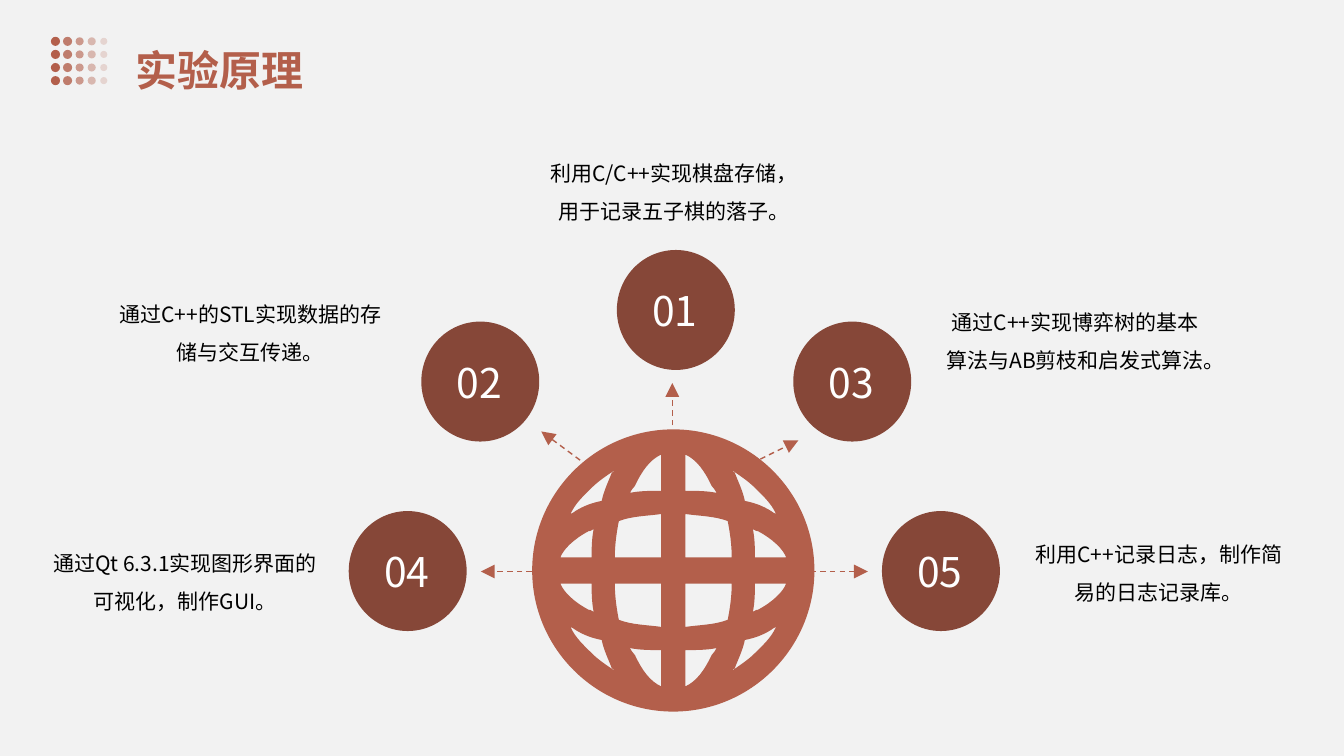
from dataclasses import dataclass

from lxml.etree import SubElement
from pptx import Presentation
from pptx.dml.color import RGBColor
from pptx.enum.dml import MSO_LINE
from pptx.enum.shapes import MSO_CONNECTOR, MSO_SHAPE
from pptx.enum.text import MSO_ANCHOR, MSO_AUTO_SIZE, PP_ALIGN
from pptx.oxml.ns import qn
from pptx.util import Inches, Pt


@dataclass(frozen=True)
class Theme:
    font: str = "Noto Sans CJK SC"
    background: RGBColor = RGBColor(0xF2, 0xF2, 0xF2)
    accent: RGBColor = RGBColor(0xB3, 0x5F, 0x4B)
    dark: RGBColor = RGBColor(0x86, 0x47, 0x38)
    text: RGBColor = RGBColor(0, 0, 0)
    white: RGBColor = RGBColor(0xFF, 0xFF, 0xFF)
    title_size: float = 30
    number_size: float = 29.2
    body_size: float = 15
    line_width: float = 1


THEME = Theme()

# number, circle (left, top), text (left, top), wording
PRINCIPLES = [
    ("01", (6.12, 2.48), (5.26, 1.2), "利用C/C++实现棋盘存储，用于记录五子棋的落子。"),
    ("02", (4.18, 3.19), (1.06, 2.6), "通过C++的STL实现数据的存储与交互传递。"),
    ("03", (7.87, 3.19), (9.24, 2.68), "通过C++实现博弈树的基本算法与AB剪枝和启发式算法。"),
    ("04", (3.46, 5.07), (0.41, 5.07), "通过Qt 6.3.1实现图形界面的可视化，制作GUI。"),
    ("05", (8.75, 5.07), (10.07, 4.98), "利用C++记录日志，制作简易的日志记录库。"),
]
ARROWS = [
    ((5.76, 5.67), (4.77, 5.67)),
    ((6.69, 5.67), (8.61, 5.67)),
    ((6.67, 4.51), (6.67, 3.8)),
    ((5.91, 4.68), (5.37, 4.28)),
    ((7.37, 4.64), (7.92, 4.37)),
]

# Contours are Bezier control points: a start, then three per segment.
# Panes of the upper right quarter are measured from the globe's centre.
GLOBE_CENTER = (6.68, 5.66)
R, K = 1.4, 0.77
RIM = [(0, R), (K, R), (R, K), (R, 0), (R, -K), (K, -R), (0, -R),
       (-K, -R), (-R, -K), (-R, 0), (-R, K), (-K, R), (0, R)]
PANES = [
    [(0.12, 1.15), *[(0.12, 0.79)] * 3,
     (0.23, 0.79), (0.33, 0.79), (0.43, 0.77),
     (0.41, 0.79), (0.41, 0.82), (0.38, 0.84),
     (0.31, 0.99), (0.23, 1.1), (0.12, 1.15)],
    [(0.12, 0.56), *[(0.12, 0.13)] * 3, *[(0.58, 0.13)] * 3,
     (0.58, 0.26), (0.56, 0.39), (0.54, 0.49),
     (0.41, 0.54), (0.26, 0.54), (0.12, 0.56)],
    [(0.81, 0.13), *[(1.12, 0.13)] * 3,
     (1.09, 0.21), (0.99, 0.31), (0.84, 0.39),
     (0.84, 0.39), (0.81, 0.39), (0.79, 0.41),
     (0.81, 0.31), (0.81, 0.21), (0.81, 0.13)],
    [(0.71, 0.69), (0.81, 0.67), (0.89, 0.64), (0.97, 0.59),
     (0.99, 0.59), (0.99, 0.56), (1.02, 0.56),
     (0.97, 0.67), (0.89, 0.74), (0.81, 0.82),
     (0.74, 0.89), (0.66, 0.94), (0.59, 0.99),
     (0.59, 0.99), (0.59, 0.97), (0.61, 0.97),
     (0.64, 0.89), (0.69, 0.79), (0.71, 0.69)],
]


def style_paragraph(p, size, color, align, bold=False):
    p.alignment = align
    p.font.name = THEME.font
    p.font.size = Pt(size)
    p.font.bold = bold
    p.font.color.rgb = color
    # East Asian typeface
    SubElement(p.font._element, qn("a:ea"), typeface=THEME.font)


def paint(sp, color, opacity=100):
    sp.shadow.inherit = False
    sp.fill.solid()
    sp.fill.fore_color.rgb = color
    sp.line.fill.background()
    if opacity < 100:
        clr = sp.fill._xPr.find(qn("a:solidFill"))[0]
        SubElement(clr, qn("a:alpha"), val=str(opacity * 1000))


def add_ellipse(shapes, left, top, width, height, color, opacity=100):
    sp = shapes.add_shape(MSO_SHAPE.OVAL, Inches(left), Inches(top),
                          Inches(width), Inches(height))
    paint(sp, color, opacity)


def add_title(s, text):
    sp = s.shapes.title
    sp.left, sp.top = Inches(1.2), Inches(0.1)
    sp.width, sp.height = Inches(10.94), Inches(1)
    tf = sp.text_frame
    tf.text = text
    tf.auto_size = MSO_AUTO_SIZE.NONE
    tf.vertical_anchor = MSO_ANCHOR.TOP
    tf.margin_left = tf.margin_top = tf.margin_bottom = Inches(0.14)
    tf.margin_right = Inches(0.06)
    p = tf.paragraphs[0]
    p.line_spacing = 1.4
    style_paragraph(p, THEME.title_size, THEME.accent, PP_ALIGN.LEFT, bold=True)


def add_dots(s):
    """Grid of dots that shrink and fade to the right."""
    group = s.shapes.add_group_shape()
    for row in range(4):
        for col, size in enumerate((0.09, 0.09, 0.08, 0.08, 0.07)):
            x, y = 0.55 + 0.12 * col, 0.41 + 0.13 * row
            add_ellipse(group.shapes, x - size / 2, y - size / 2, size, size,
                        THEME.accent, 100 - 20 * col)


def bend(sp):
    """Turn every three straight segments into one Bezier curve."""
    lines = list(sp._element.iter(qn("a:lnTo")))
    for i in range(0, len(lines), 3):
        curve = lines[i].makeelement(qn("a:cubicBezTo"))
        lines[i].addprevious(curve)
        for line in lines[i:i + 3]:
            curve.append(line[0])
            line.getparent().remove(line)


def add_globe(s):
    cx, cy = GLOBE_CENTER
    # Each pane is mirrored into all four quarters
    contours = [RIM] + [[(mx * x, my * y) for x, y in pane] for pane in PANES
                        for mx in (-1, 1) for my in (-1, 1)]
    contours = [[(Inches(cx + x), Inches(cy - y)) for x, y in c] for c in contours]
    builder = s.shapes.build_freeform(*contours[0][0])
    for contour in contours:
        if contour is not contours[0]:
            builder.move_to(*contour[0])
        builder.add_line_segments(contour[1:])
    sp = builder.convert_to_shape()
    bend(sp)
    paint(sp, THEME.accent)


def add_arrow(s, begin, end):
    line = s.shapes.add_connector(MSO_CONNECTOR.STRAIGHT,
                                  *(Inches(v) for v in begin + end))
    line.line.color.rgb = THEME.accent
    line.line.width = Pt(THEME.line_width)
    line.line.dash_style = MSO_LINE.DASH
    SubElement(line.line._get_or_add_ln(), qn("a:tailEnd"),
               type="triangle", w="lg", len="lg")
    SubElement(line._element.spPr, qn("a:effectLst"))


def add_text(s, left, top, width, height, text, size, color):
    tf = s.shapes.add_textbox(Inches(left), Inches(top),
                              Inches(width), Inches(height)).text_frame
    tf.text = text
    tf.word_wrap = True
    tf.vertical_anchor = MSO_ANCHOR.MIDDLE
    p = tf.paragraphs[0]
    style_paragraph(p, size, color, PP_ALIGN.CENTER)
    return p


def add_principle(s, number, circle_at, text_at, text):
    left, top = circle_at
    add_ellipse(s.shapes, left, top, 1.17, 1.19, THEME.dark)
    p = add_text(s, left + 0.08, top + 0.28, 0.99, 0.64, number,
                 THEME.number_size, THEME.white)
    p.space_before = Pt(3.8)
    p = add_text(s, *text_at, 2.85, 1.28, text, THEME.body_size, THEME.text)
    p.line_spacing = 1.5


def main():
    prs = Presentation()
    prs.slide_width, prs.slide_height = Inches(40 / 3), Inches(7.5)
    s = prs.slides.add_slide(prs.slide_layouts[5])
    s.background.fill.solid()
    s.background.fill.fore_color.rgb = THEME.background

    # Heading
    add_title(s, "实验原理")
    add_dots(s)

    # Globe with arrows to the five principles
    add_globe(s)
    for begin, end in ARROWS:
        add_arrow(s, begin, end)
    for principle in PRINCIPLES:
        add_principle(s, *principle)

    prs.save("out.pptx")


if __name__ == "__main__":
    main()
